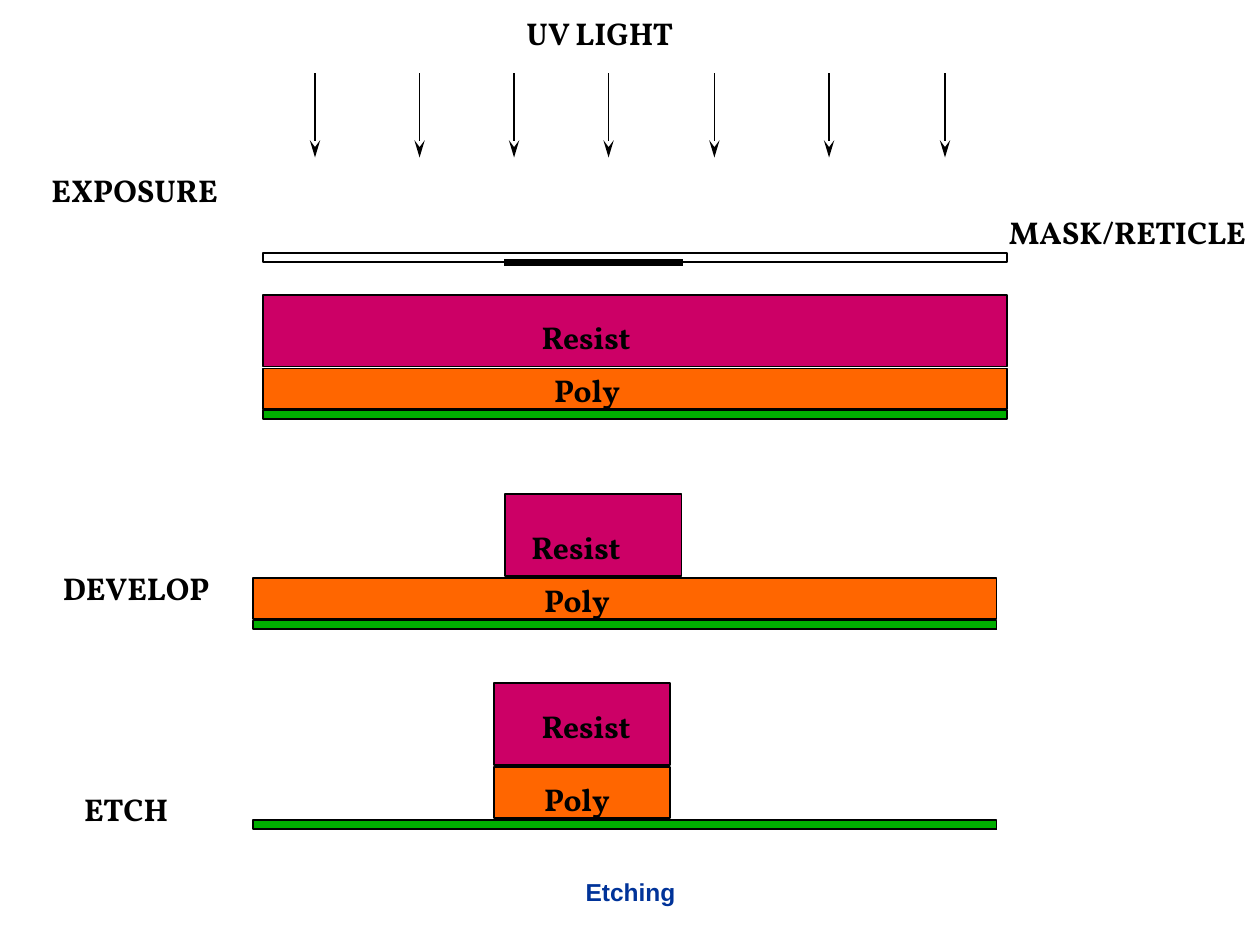
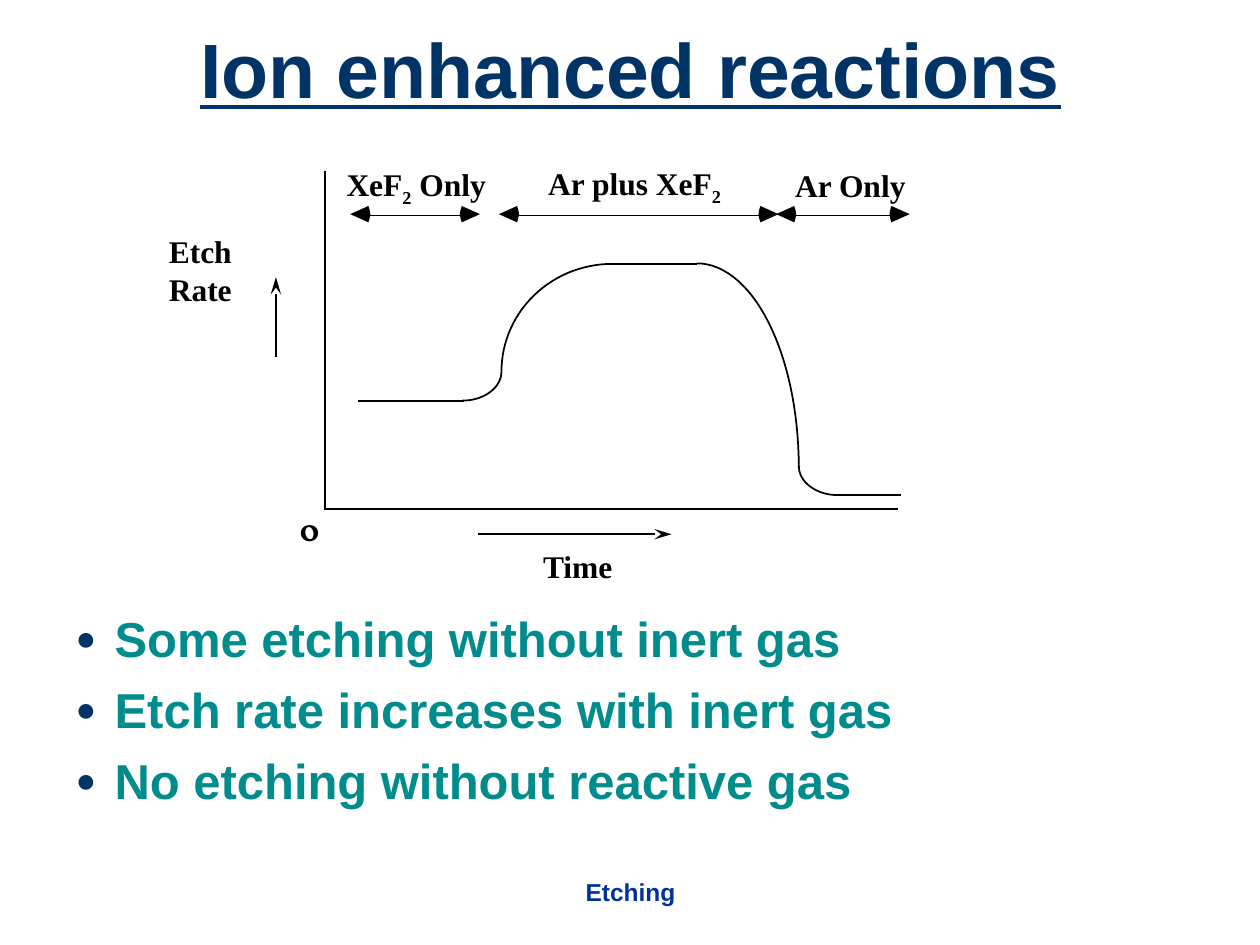
from dataclasses import dataclass
from math import cos, radians, sin

from lxml.etree import SubElement
from pptx import Presentation
from pptx.dml.color import RGBColor
from pptx.enum.shapes import MSO_CONNECTOR, MSO_SHAPE
from pptx.enum.text import MSO_ANCHOR, MSO_AUTO_SIZE, PP_ALIGN
from pptx.oxml.ns import qn
from pptx.util import Inches, Pt

COLUMNS, ROWS = 100, 75
CELL = Inches(0.1)
COLORS = {
    "ink": "000000",
    "title": "003366",
    "list": "008C8C",
    "footer": "003399",
    "resist": "CC0066",
    "poly": "FF6600",
    "oxide": "00AE00",
    "glass": "FFFFFF",
}
SANS, SERIF, DISPLAY = "Arial", "Times New Roman", "Vollkorn"


@dataclass
class Box:
    left: float
    top: float
    width: float
    height: float

    def inner(self, left, top, width, height):
        return Box(self.left + left, self.top + top, width, height)

    def point(self, x, y):
        return cells(self.left + x), cells(self.top + y)

    def frame(self):
        return [cells(n) for n in (self.left, self.top, self.width, self.height)]


def cells(count):
    return round(count * CELL)


def color(name):
    return RGBColor.from_string(COLORS[name])


def add_span(para, text, size, font, tint, baseline=0):
    span = para.add_run()
    span.text = text
    span.font.size = Pt(size)
    span.font.name = font
    span.font.bold = True
    span.font.color.rgb = color(tint)
    if baseline:
        span._r.get_or_add_rPr().set("baseline", str(baseline * 1000))
    return span


def add_label(shapes, box, *parts, font=DISPLAY, inset=0.1):
    label = shapes.add_textbox(*box.frame())
    frame = label.text_frame
    frame.margin_left = frame.margin_right = Inches(inset)
    frame.word_wrap = False
    frame.auto_size = MSO_AUTO_SIZE.SHAPE_TO_FIT_TEXT
    for text in parts:
        baseline = -25 if text.isdigit() and len(parts) > 1 else 0
        add_span(frame.paragraphs[0], text, 18, font, "ink", baseline)


def add_film(shapes, box, tint):
    film = shapes.add_shape(MSO_SHAPE.RECTANGLE, *box.frame())
    film.shadow.inherit = False
    film.fill.solid()
    film.fill.fore_color.rgb = color(tint)
    film.line.color.rgb = color("ink")
    film.line.width = Pt(1)


def add_line(shapes, box, start, end, width=1, arrow=False):
    line = shapes.add_connector(
        MSO_CONNECTOR.STRAIGHT, *box.point(*start), *box.point(*end))
    line.line.color.rgb = color("ink")
    line.line.width = Pt(width)
    if arrow:
        SubElement(line.line._get_or_add_ln(), qn("a:tailEnd"),
                   type="stealth", w="med", len="lg")
    SubElement(line._element.spPr, qn("a:effectLst"))


def add_outline(shapes, box, points, filled):
    corners = [box.point(*point) for point in points]
    builder = shapes.build_freeform(*corners[0], scale=1.0)
    builder.add_line_segments(corners[1:], close=filled)
    outline = builder.convert_to_shape()
    outline.shadow.inherit = False
    if filled:
        outline.fill.solid()
        outline.fill.fore_color.rgb = color("ink")
        outline.line.fill.background()
    else:
        outline.fill.background()
        outline.line.color.rgb = color("ink")
        outline.line.width = Pt(1)


def add_quarter(shapes, box, center, radii, first_angle):
    angles = [radians(first_angle + step) for step in range(0, 91, 3)]
    points = [(center[0] + radii[0] * cos(angle), center[1] + radii[1] * sin(angle))
              for angle in angles]
    add_outline(shapes, box, points, filled=False)


def add_range(shapes, box, left, right):
    add_line(shapes, box, (left + 0.8, 4.6), (right - 0.8, 4.6))
    head = [(0, 0), (1.45, -0.65), (1.55, -0.3), (1.6, 0), (1.55, 0.3), (1.45, 0.65)]
    for tip, direction in ((left, 1), (right, -1)):
        points = [(tip + direction * x, 4.5 + y) for x, y in head]
        add_outline(shapes, box, points, filled=True)


def add_footer(page):
    footer = page.shapes.add_textbox(*Box(34.2, 68.3, 31.7, 5).frame())
    frame = footer.text_frame
    frame.word_wrap = False
    frame.vertical_anchor = MSO_ANCHOR.MIDDLE
    para = frame.paragraphs[0]
    para.alignment = PP_ALIGN.CENTER
    add_span(para, "Etching", 14, SANS, "footer")


def add_light(shapes, box):
    add_label(shapes, box.inner(15.8, 0, 14.5, 4), "UV LIGHT")
    for x in (0, 8.3, 15.8, 23.3, 31.7, 40.8, 50):
        add_line(shapes, box, (x, 5.2), (x, 11.9), arrow=True)


def add_mask(shapes, box):
    add_film(shapes, box, "glass")
    add_line(shapes, box, (19.1, 0.7), (33.3, 0.7), width=4)
    add_label(shapes, box.inner(58.2, -3.7, 21.3, 4), "MASK/RETICLE")


def add_stack(shapes, box, resist, poly, resist_label, poly_label):
    oxide_top = box.height - 0.7
    add_film(shapes, box.inner(0, oxide_top, box.width, 0.7), "oxide")
    add_film(shapes, box.inner(*resist), "resist")
    add_film(shapes, box.inner(*poly), "poly")
    add_label(shapes, box.inner(*resist_label, 9.6, 4), "Resist")
    add_label(shapes, box.inner(*poly_label, 7.5, 4), "Poly")


def build_process_page(deck):
    page = deck.slides.add_slide(deck.slide_layouts[6])
    shapes = page.shapes
    add_footer(page)
    add_light(shapes, Box(25, 0.6, 50, 11.9))
    add_mask(shapes, Box(20.9, 20.1, 59, 0.7))

    exposed = Box(20.9, 23.4, 59, 9.85)
    developed = Box(20.1, 39.2, 59, 10.75)
    etched = Box(20.1, 54.2, 59, 11.6)
    add_stack(shapes, exposed, (0, 0, 59, 5.7), (0, 5.85, 59, 3.2),
              (21.1, 1.35), (22.1, 5.55))
    add_stack(shapes, developed, (20, 0, 14, 6.5), (0, 6.7, 59, 3.2),
              (21.1, 2.2), (22.1, 6.4))
    add_stack(shapes, etched, (19.1, 0, 14, 6.5), (19.1, 6.7, 14, 4),
              (21.9, 1.4), (22.1, 7.2))
    for stack in (developed, etched):
        add_line(shapes, stack, (0, stack.height), (stack.width, stack.height))

    steps = (("EXPOSURE", 3.1, 13.1, 15.8),
             ("DEVELOP", 4, 44.7, 14.1),
             ("ETCH", 5.7, 62.2, 9))
    for name, left, top, width in steps:
        add_label(shapes, Box(left, top, width, 4), name)


def add_title(page, box, text):
    title = page.shapes.title
    title.left, title.top, title.width, title.height = box.frame()
    frame = title.text_frame
    frame.auto_size = MSO_AUTO_SIZE.NONE
    frame.vertical_anchor = MSO_ANCHOR.MIDDLE
    para = frame.paragraphs[0]
    para.alignment = PP_ALIGN.CENTER
    para.line_spacing = 0.9
    add_span(para, text, 44, SANS, "title").font.underline = True


def add_bullet(para):
    props = para._p.get_or_add_pPr()
    props.set("marL", str(Inches(0.31)))
    props.set("indent", str(-Inches(0.31)))
    tint = SubElement(props, qn("a:buClr"))
    SubElement(tint, qn("a:srgbClr"), val=COLORS["title"])
    SubElement(props, qn("a:buSzPct"), val="70000")
    SubElement(props, qn("a:buFont"), typeface=SANS)
    SubElement(props, qn("a:buChar"), char="●")


def add_list(page, box, items):
    body = page.placeholders[1]
    body.left, body.top, body.width, body.height = box.frame()
    frame = body.text_frame
    frame.auto_size = MSO_AUTO_SIZE.NONE
    for index, item in enumerate(items):
        para = frame.add_paragraph() if index else frame.paragraphs[0]
        add_bullet(para)
        para.line_spacing = 0.9
        para.space_before = Pt(10.5 if index else 0)
        add_span(para, item, 28, SANS, "list")


def add_rate_plot(page, box):
    shapes = page.shapes
    add_line(shapes, box, (13.3, 1.1), (13.3, 28))
    add_line(shapes, box, (13.3, 27.9), (58.8, 27.9))
    add_line(shapes, box, (25.4, 29.9), (40.8, 29.9), arrow=True)
    add_line(shapes, box, (9.4, 15.8), (9.4, 9.5), arrow=True)

    for left, right, height in ((15.9, 24.3, 19.3), (36.1, 42.8, 8.45), (53.9, 59, 26.8)):
        add_line(shapes, box, (left, height), (right, height))
    add_quarter(shapes, box, (24.2, 17), (3.1, 2.3), 0)
    add_quarter(shapes, box, (36.1, 17), (8.8, 8.55), 180)
    add_quarter(shapes, box, (42.8, 24.6), (8.1, 16.2), 270)
    add_quarter(shapes, box, (54, 24.5), (3.1, 2.3), 90)

    for left, right in ((15.3, 25.6), (27.1, 49.3), (49.1, 59.7)):
        add_range(shapes, box, left, right)

    labels = (
        ((14.1, 0.1, 12.9, 4.3), ("XeF", "2", " Only")),
        ((30.1, 0, 15.6, 4.3), ("Ar plus XeF", "2")),
        ((49.7, 0.2, 10.6, 3.9), ("Ar Only",)),
        ((0, 5.4, 12.4, 3.9), ("Etch Rate",)),
        ((29.7, 30.4, 7.4, 3.9), ("Time",)),
    )
    for place, parts in labels:
        add_label(shapes, box.inner(*place), *parts, font=SERIF, inset=0.09)
    add_label(shapes, box.inner(10.4, 27.5, 3.2, 3.9), "0", inset=0.09)


def build_reaction_page(deck):
    page = deck.slides.add_slide(deck.slide_layouts[1])
    add_footer(page)
    add_title(page, Box(13.9, 1.7, 72.3, 8.3), "Ion enhanced reactions")
    add_list(page, Box(5, 48.3, 88.3, 19.2), (
        "Some etching without inert gas",
        "Etch rate increases with inert gas",
        "No etching without reactive gas",
    ))
    add_rate_plot(page, Box(12.5, 12.5, 60, 34.3))


def main():
    deck = Presentation()
    deck.slide_width = cells(COLUMNS)
    deck.slide_height = cells(ROWS)
    build_process_page(deck)
    build_reaction_page(deck)
    deck.save("out.pptx")


if __name__ == "__main__":
    main()
